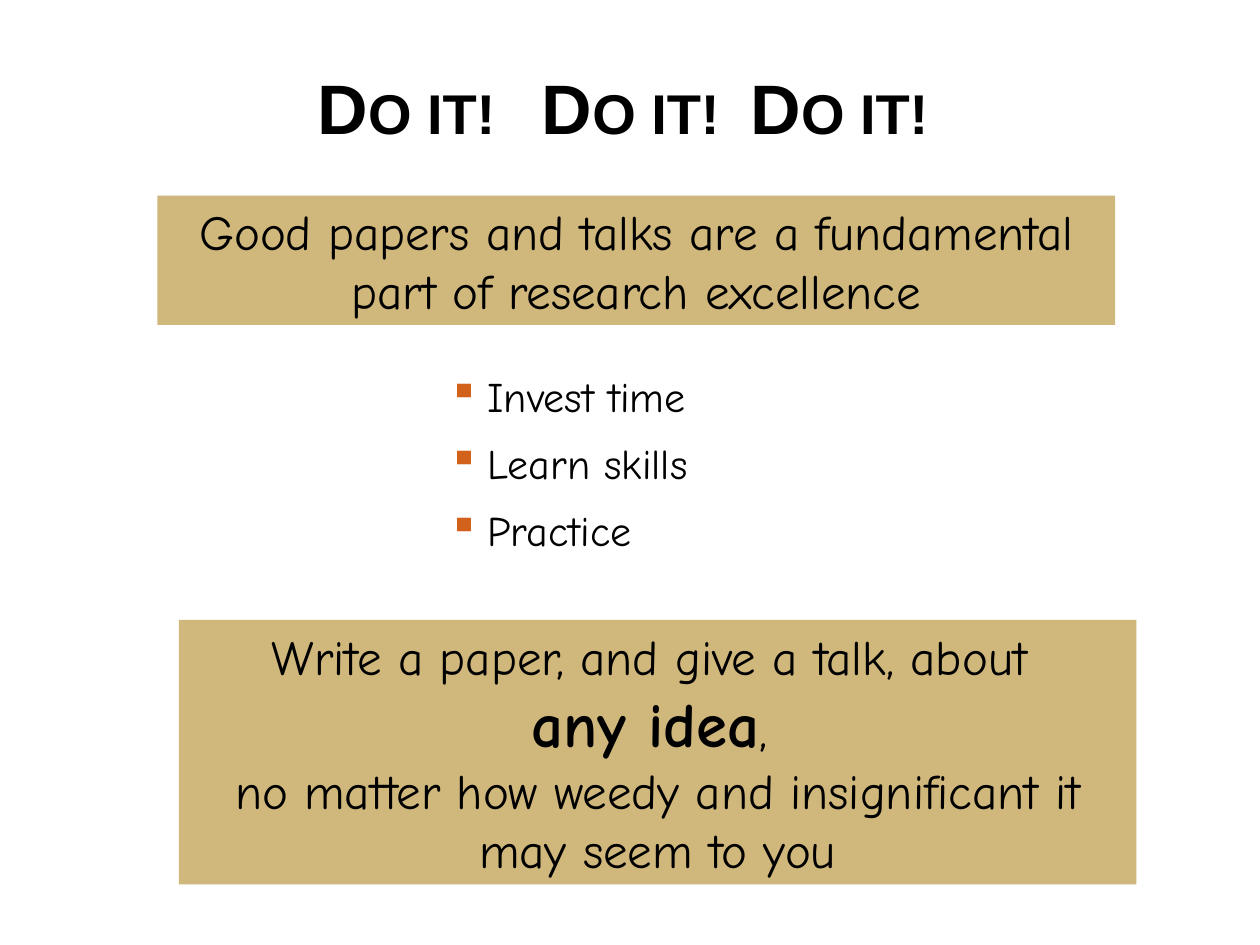
from lxml.etree import SubElement
from pptx import Presentation
from pptx.dml.color import RGBColor
from pptx.enum.shapes import MSO_SHAPE
from pptx.enum.text import MSO_ANCHOR, MSO_AUTO_SIZE, PP_ALIGN
from pptx.oxml.ns import qn
from pptx.util import Inches, Pt

COLORS = {"text": "000000", "panel": "D0B87D", "bullet": "D2611C"}

prs = Presentation()
prs.slide_width, prs.slide_height = Inches(10), Inches(7.5)
W, H = prs.slide_width, prs.slide_height
s = prs.slides.add_slide(prs.slide_layouts[5])


def box(x, y, w, h):
    return int(x * W), int(y * H), int(w * W), int(h * H)


def add_run(p, text, size, font="Comic Neue", bold=False):
    r = p.add_run()
    r.text = text
    r.font.name, r.font.size, r.font.bold = font, Pt(size), bold
    r.font.color.rgb = RGBColor.from_string(COLORS["text"])
    return r


title = s.shapes.title
title.left, title.top, title.width, title.height = box(0.028, 0.023, 0.933, 0.141)
tf = title.text_frame
tf.word_wrap = True
tf.vertical_anchor = MSO_ANCHOR.BOTTOM
p = tf.paragraphs[0]
p.alignment = PP_ALIGN.CENTER
r = add_run(p, "Do it!   Do it!  Do it!", 40, "Arial", True)
r.font._element.set("cap", "small")

panels = [
    (box(0.125, 0.207, 0.76, 0.137), [
        [("Good papers and talks are a fundamental part of research excellence", 28, False)],
    ]),
    (box(0.142, 0.656, 0.76, 0.28), [
        [("Write a paper, and give a talk, about ", 28, False)],
        [("any idea", 36, True), (", ", 28, False)],
        [("no matter how weedy and insignificant it may seem to you", 28, False)],
    ]),
]
for place, lines in panels:
    sp = s.shapes.add_shape(MSO_SHAPE.RECTANGLE, *place)
    sp.shadow.inherit = False
    sp.fill.solid()
    sp.fill.fore_color.rgb = RGBColor.from_string(COLORS["panel"])
    sp.line.fill.background()
    tf = sp.text_frame
    tf.word_wrap = True
    tf.auto_size = MSO_AUTO_SIZE.SHAPE_TO_FIT_TEXT
    tf.vertical_anchor = MSO_ANCHOR.TOP
    p = tf.paragraphs[0]
    p.alignment = PP_ALIGN.CENTER
    for i, line in enumerate(lines):
        if i:
            p.add_line_break()
        for text, size, bold in line:
            add_run(p, text, size, bold=bold)

tf = s.shapes.add_textbox(*box(0.346, 0.385, 0.308, 0.216)).text_frame
tf.word_wrap = True
for i, text in enumerate(["Invest time", "Learn skills", "Practice"]):
    p = tf.add_paragraph() if i else tf.paragraphs[0]
    pPr = p._p.get_or_add_pPr()
    pPr.set("marL", str(Inches(0.31)))
    pPr.set("indent", str(-Inches(0.31)))
    color = SubElement(pPr, qn("a:buClr"))
    SubElement(color, qn("a:srgbClr")).set("val", COLORS["bullet"])
    SubElement(pPr, qn("a:buChar")).set("char", "▪")
    if i:
        p.space_before = Pt(9.6)
    add_run(p, text, 24)

prs.save("out.pptx")
